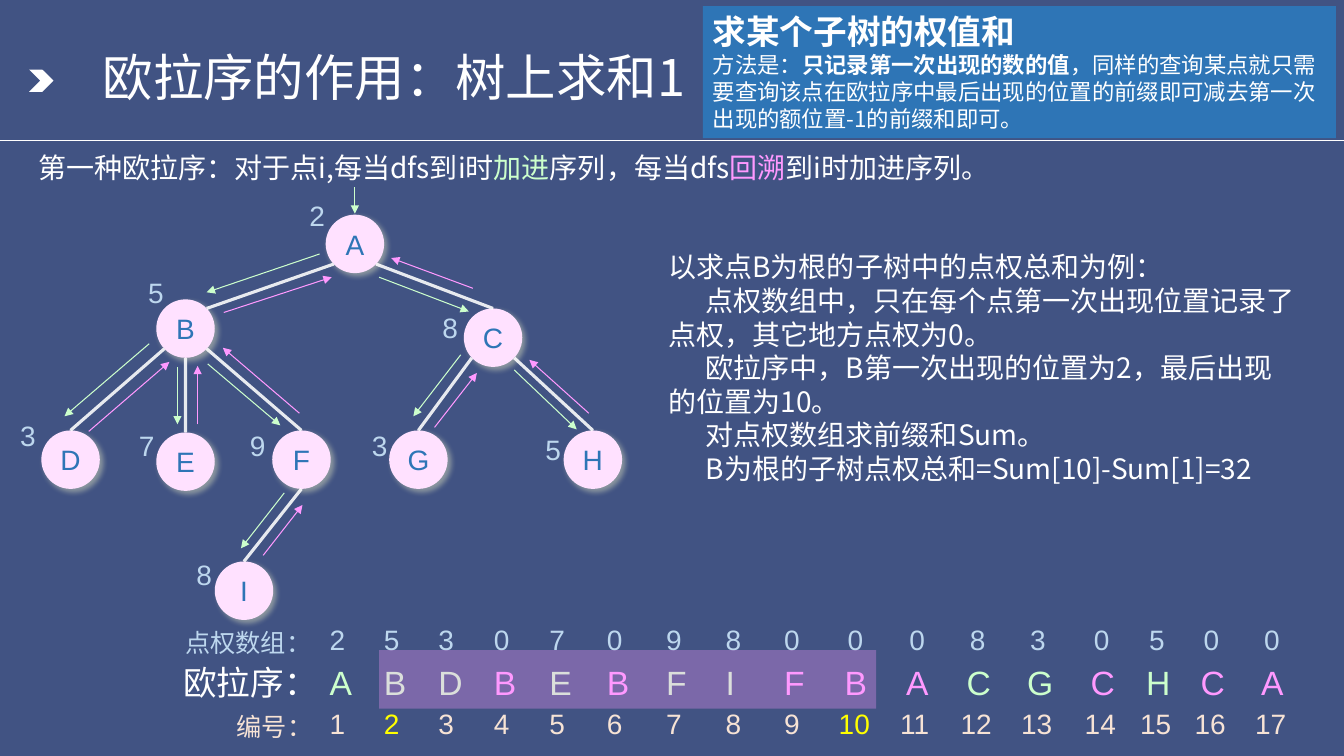
import pptx
import pptx.util
import pptx.dml.color
import pptx.enum.dml
import pptx.enum.shapes
import pptx.enum.text
import pptx.oxml
import pptx.oxml.ns

Inches = pptx.util.Inches
Pt = pptx.util.Pt
MSO_SHAPE = pptx.enum.shapes.MSO_SHAPE
MSO_ANCHOR = pptx.enum.text.MSO_ANCHOR
PP_ALIGN = pptx.enum.text.PP_ALIGN
qn = pptx.oxml.ns.qn
NAMESPACE = pptx.oxml.ns.nsdecls("a")

COLORS = {
    "background": "415383", "white": "FFFFFF", "enter": "CCFFCC", "return": "FF99FF",
    "node": "FFE1FF", "blue": "2E75B6", "weight": "BDD7EE", "index": "F7E3D5",
    "yellow": "FFFF00", "glow": "FFFFCC",
}
RGB = {name: pptx.dml.color.RGBColor.from_string(value) for name, value in COLORS.items()}
CJK = "Noto Sans CJK SC"

presentation = pptx.Presentation()
presentation.slide_width = Inches(13.33)
presentation.slide_height = Inches(7.5)
slide = presentation.slides.add_slide(presentation.slide_layouts[6])
slide.background.fill.solid()
slide.background.fill.fore_color.rgb = RGB["background"]
shapes = slide.shapes


def write(shape, paragraphs, size, font="Arial", anchor=MSO_ANCHOR.TOP):
    frame = shape.text_frame
    frame.word_wrap = True
    frame.vertical_anchor = anchor
    for number, runs in enumerate(paragraphs):
        paragraph = frame.add_paragraph() if number else frame.paragraphs[0]
        paragraph.alignment = PP_ALIGN.LEFT
        for text, color in runs:
            run = paragraph.add_run()
            run.text = text
            run.font.size = Pt(size)
            run.font.name = font
            run.font.color.rgb = RGB[color]
            east_asian = pptx.oxml.parse_xml(f'<a:ea {NAMESPACE} typeface="{CJK}"/>')
            run.font._element.find(qn("a:latin")).addnext(east_asian)
    return frame


def draw_line(start, end, color, width, ending):
    line = shapes.add_connector(pptx.enum.shapes.MSO_CONNECTOR.STRAIGHT,
                                *[Inches(value) for value in start + end])
    line.line.color.rgb = RGB[color]
    line.line.width = Pt(width)
    properties = line._element.spPr
    properties.append(pptx.oxml.parse_xml(f"<a:effectLst {NAMESPACE}/>"))
    if ending == "arrow":
        properties.find(qn("a:ln")).append(
            pptx.oxml.parse_xml(f'<a:tailEnd {NAMESPACE} type="triangle"/>'))
    if ending == "edge":
        properties.find(".//" + qn("a:srgbClr")).append(
            pptx.oxml.parse_xml(f'<a:alpha {NAMESPACE} val="88000"/>'))


draw_line((0, 1.39), (13.33, 1.39), "white", 0.75, "plain")
chevron = shapes.add_shape(MSO_SHAPE.CHEVRON, Inches(0.29), Inches(0.69), Inches(0.24), Inches(0.22))
chevron.shadow.inherit = False
chevron.fill.solid()
chevron.fill.fore_color.rgb = RGB["white"]
chevron.line.fill.background()

title = shapes.add_textbox(Inches(0.92), Inches(0.4), Inches(11.5), Inches(0.79))
title_frame = write(title, [[("欧拉序的作用：树上求和1", "white")]], 36, CJK, MSO_ANCHOR.MIDDLE)
title_frame.paragraphs[0].line_spacing = 0.9

definition = shapes.add_textbox(Inches(0.28), Inches(1.44), Inches(9.49), Inches(0.44))
write(definition, [[("第一种欧拉序：对于点i,每当dfs到i时", "white"), ("加进", "enter"),
                    ("序列，每当dfs", "white"), ("回溯", "return"),
                    ("到i时加进序列。", "white")]], 20, CJK)

NODE_SIZE = 0.58
NODES = {
    "A": (3.23, 2.13), "B": (1.55, 2.97), "C": (4.6, 3.06),
    "D": (0.41, 4.27), "E": (1.55, 4.29), "F": (2.7, 4.27),
    "G": (3.86, 4.27), "H": (5.59, 4.27), "I": (2.13, 5.57),
}
for name, (left, top) in NODES.items():
    node = shapes.add_shape(MSO_SHAPE.OVAL, Inches(left), Inches(top), Inches(NODE_SIZE), Inches(NODE_SIZE))
    node.fill.solid()
    node.fill.fore_color.rgb = RGB["node"]
    node.line.fill.background()
    frame = write(node, [[(name, "blue")]], 20, anchor=MSO_ANCHOR.MIDDLE)
    frame.paragraphs[0].alignment = PP_ALIGN.CENTER
    node._element.spPr.append(pptx.oxml.parse_xml(
        f'<a:effectLst {NAMESPACE}><a:outerShdw blurRad="{Pt(4)}" dist="{Pt(3)}" dir="2700000">'
        f'<a:srgbClr val="{COLORS["glow"]}"><a:alpha val="40000"/></a:srgbClr>'
        "</a:outerShdw></a:effectLst>"))

ANCHORS = {"top": (0.29, 0), "bottom": (0.29, 0.58), "lower left": (0.08, 0.49),
           "lower right": (0.5, 0.49), "upper right": (0.5, 0.09)}
EDGES = [
    ("A", "lower left", "B", "upper right"), ("A", "lower right", "C", "top"),
    ("B", "lower left", "D", "top"), ("B", "bottom", "E", "top"),
    ("B", "lower right", "F", "top"), ("C", "lower left", "G", "top"),
    ("C", "lower right", "H", "top"), ("F", "bottom", "I", "top"),
]
for parent, parent_anchor, child, child_anchor in EDGES:
    start, end = [
        tuple(corner + offset for corner, offset in zip(NODES[name], ANCHORS[anchor]))
        for name, anchor in ((parent, parent_anchor), (child, child_anchor))
    ]
    draw_line(start, end, "white", 2.25, "edge")

ARROWS = {
    "enter": [
        ((3.52, 1.86), (3.52, 2.12)), ((3.17, 2.52), (2.05, 2.9)), ((1.48, 3.41), (0.64, 4.13)),
        ((1.76, 3.64), (1.76, 4.21)), ((2.06, 3.61), (2.78, 4.22)), ((2.82, 4.89), (2.39, 5.44)),
        ((3.76, 2.75), (4.65, 3.09)), ((4.57, 3.52), (4.1, 4.13)), ((5.1, 3.67), (5.72, 4.26)),
    ],
    "return": [
        ((0.88, 4.28), (1.68, 3.59)), ((1.96, 4.21), (1.96, 3.63)), ((2.61, 5.51), (3, 5.01)),
        ((2.97, 4.1), (2.21, 3.45)), ((2.22, 3.1), (3.29, 2.75)), ((4.31, 4.24), (4.73, 3.7)),
        ((5.84, 4.1), (5.25, 3.57)), ((4.69, 2.86), (3.88, 2.56)),
    ],
}
for direction, arrows in ARROWS.items():
    for start, end in arrows:
        draw_line(start, end, direction, 0.75, "arrow")

WEIGHTS = {
    "A": (2, 2.97, 1.92), "B": (5, 1.37, 2.68), "C": (8, 4.29, 3.03),
    "D": (3, 0.1, 4.1), "E": (7, 1.28, 4.2), "F": (9, 2.38, 4.2),
    "G": (3, 3.59, 4.2), "H": (5, 5.31, 4.24), "I": (8, 1.85, 5.48),
}
for weight, left, top in WEIGHTS.values():
    label = shapes.add_textbox(Inches(left), Inches(top), Inches(0.48), Inches(0.44))
    write(label, [[(str(weight), "weight")]], 20)

ROW_LABELS = [("点权数组：", 1.74, 6.17, 18, "weight"), ("欧拉序：", 1.72, 6.52, 24, "white"),
              ("编号：", 2.25, 7.01, 18, "index")]
for text, left, top, size, color in ROW_LABELS:
    label = shapes.add_textbox(Inches(left), Inches(top), Inches(1.39), Inches(0.45))
    write(label, [[(text, color)]], size)

EULER_TOUR = "ABDBEBFIFBACGCHCA"
COLUMN_LEFTS = [3.17, 3.71, 4.25, 4.8, 5.35, 5.92, 6.51, 7.1, 7.68,
                8.28, 8.89, 9.49, 10.09, 10.72, 11.27, 11.81, 12.41]
for position, (name, left) in enumerate(zip(EULER_TOUR, COLUMN_LEFTS), 1):
    first_visit = EULER_TOUR.index(name) == position - 1
    weight = WEIGHTS[name][0] if first_visit else 0
    two_digits = position >= 10
    cells = [
        (weight, left + 0.03 * two_digits, 6.13, 20, "weight"),
        (name, left, 6.52, 24, "enter" if first_visit else "return"),
        (position, left - 0.06 * two_digits, 6.96, 20, "yellow" if position in (2, 10) else "index"),
    ]
    for text, cell_left, top, size, color in cells:
        cell = shapes.add_textbox(Inches(cell_left), Inches(top), Inches(0.6), Inches(0.45))
        write(cell, [[(str(text), color)]], size)

method = shapes.add_shape(MSO_SHAPE.RECTANGLE, Inches(6.97), Inches(0.06), Inches(6.28), Inches(1.31))
method.shadow.inherit = False
method.fill.solid()
method.fill.fore_color.rgb = RGB["blue"]
method.line.fill.background()
method_frame = write(method, [
    [("求某个子树的权值和", "white")],
    [("方法是：", "white"), ("只记录第一次出现的数的值", "white"),
     ("，同样的查询某点就只需要查询该点在欧拉序中最后出现的位置的前缀即可减去第一次出现的额位置-1的前缀和即可。", "white")],
], 16, CJK)
heading, explanation = method_frame.paragraphs
heading.runs[0].font.size = Pt(24)
heading.runs[0].font.bold = True
explanation.runs[1].font.bold = True

example = shapes.add_textbox(Inches(6.53), Inches(2.43), Inches(6.46), Inches(2.46))
example_frame = write(example, [[(text, "white")] for text in (
    "以求点B为根的子树中的点权总和为例：",
    "点权数组中，只在每个点第一次出现位置记录了点权，其它地方点权为0。",
    "欧拉序中，B第一次出现的位置为2，最后出现的位置为10。",
    "对点权数组求前缀和Sum。",
    "B为根的子树点权总和=Sum[10]-Sum[1]=32",
)], 20, CJK)
for paragraph in example_frame.paragraphs[1:]:
    paragraph._p.get_or_add_pPr().set("indent", str(Inches(0.37)))

highlight = shapes.add_shape(MSO_SHAPE.RECTANGLE, Inches(3.76), Inches(6.45), Inches(4.93), Inches(0.58))
highlight.shadow.inherit = False
highlight.fill.solid()
highlight.fill.fore_color.rgb = RGB["return"]
highlight.line.fill.background()
highlight._element.spPr.find(".//" + qn("a:srgbClr")).append(
    pptx.oxml.parse_xml(f'<a:alpha {NAMESPACE} val="31000"/>'))

presentation.save("out.pptx")
